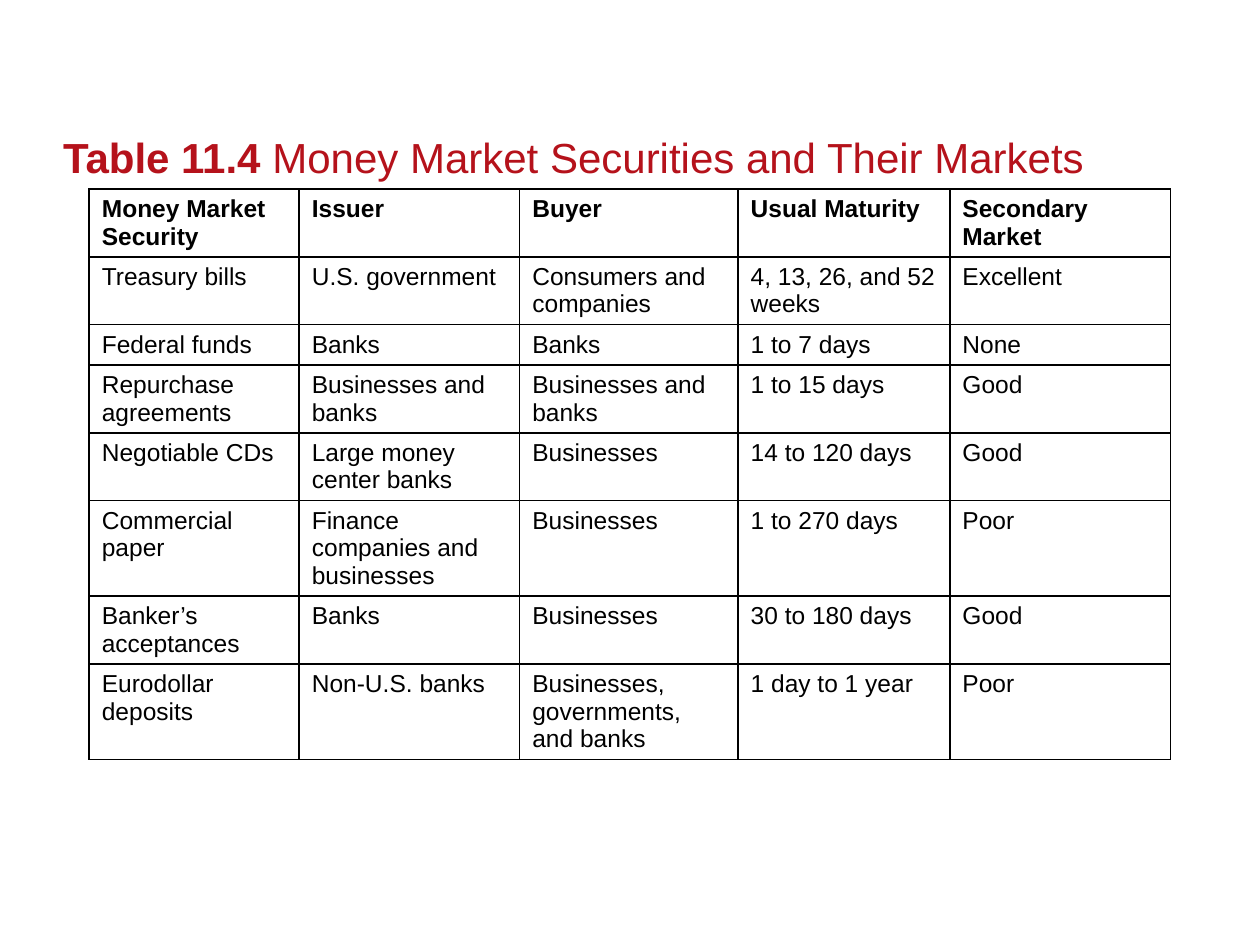
from pptx import Presentation
from pptx.dml.color import RGBColor
from pptx.enum import text as t
from pptx.oxml import parse_xml
from pptx.oxml.ns import nsdecls
from pptx.util import Pt

# Content
TITLE = [("Table 11.4 ", True), ("Money Market Securities and Their Markets", False)]
ROWS = [
    ("Money Market Security", "Issuer", "Buyer", "Usual Maturity", "Secondary Market"),
    ("Treasury bills", "U.S. government", "Consumers and companies",
     "4, 13, 26, and 52 weeks", "Excellent"),
    ("Federal funds", "Banks", "Banks", "1 to 7 days", "None"),
    ("Repurchase agreements", "Businesses and banks", "Businesses and banks",
     "1 to 15 days", "Good"),
    ("Negotiable CDs", "Large money center banks", "Businesses", "14 to 120 days", "Good"),
    ("Commercial paper", "Finance companies and businesses", "Businesses",
     "1 to 270 days", "Poor"),
    ("Banker’s acceptances", "Banks", "Businesses", "30 to 180 days", "Good"),
    ("Eurodollar deposits", "Non-U.S. banks", "Businesses, governments, and banks",
     "1 day to 1 year", "Poor"),
]
WIDTHS = [120, 126, 124.8, 121, 126]
LINES = [2, 2, 1, 2, 2, 3, 2, 3]  # text lines in each row
PAD, LEAD = 7.2, 15.8

RED = RGBColor(0xB5, 0x12, 0x1B)
BLACK = RGBColor(0, 0, 0)


def style(run, size, color, bold):
    font = run.font
    font.name, font.size, font.bold = "Arial", Pt(size), bold
    font.color.rgb = color


def border(cell):
    props = cell._tc.get_or_add_tcPr()
    for n, side in enumerate(("lnL", "lnR", "lnT", "lnB")):
        props.insert(n, parse_xml(
            f'<a:{side} {nsdecls("a")} w="{Pt(1)}"><a:solidFill>'
            f'<a:srgbClr val="{BLACK}"/></a:solidFill></a:{side}>'))


deck = Presentation()
deck.slide_width, deck.slide_height = Pt(720), Pt(540)
slide = deck.slides.add_slide(deck.slide_layouts[5])

# Title
title = slide.shapes.title
title.left, title.top, title.width, title.height = Pt(36), Pt(17.3), Pt(648), Pt(86.4)
frame = title.text_frame
frame.margin_left = frame.margin_right = frame.margin_top = frame.margin_bottom = 0
frame.vertical_anchor = t.MSO_ANCHOR.BOTTOM
frame.auto_size = t.MSO_AUTO_SIZE.NONE
para = frame.paragraphs[0]
para.alignment = t.PP_ALIGN.LEFT
for words, bold in TITLE:
    run = para.add_run()
    run.text = words
    style(run, 24, RED, bold)

# Table
highs = [PAD + LEAD * n for n in LINES]
table = slide.shapes.add_table(len(ROWS), len(WIDTHS), Pt(51), Pt(108),
                               Pt(sum(WIDTHS)), Pt(sum(highs))).table
table.first_row = table.horz_banding = False
for col, wide in zip(table.columns, WIDTHS):
    col.width = Pt(wide)
for r, (row, high) in enumerate(zip(table.rows, highs)):
    row.height = Pt(high)
    for cell, words in zip(row.cells, ROWS[r]):
        cell.text_frame.text = words
        style(cell.text_frame.paragraphs[0].runs[0], 14, BLACK, r == 0)
        cell.fill.background()
        border(cell)

deck.save("out.pptx")
